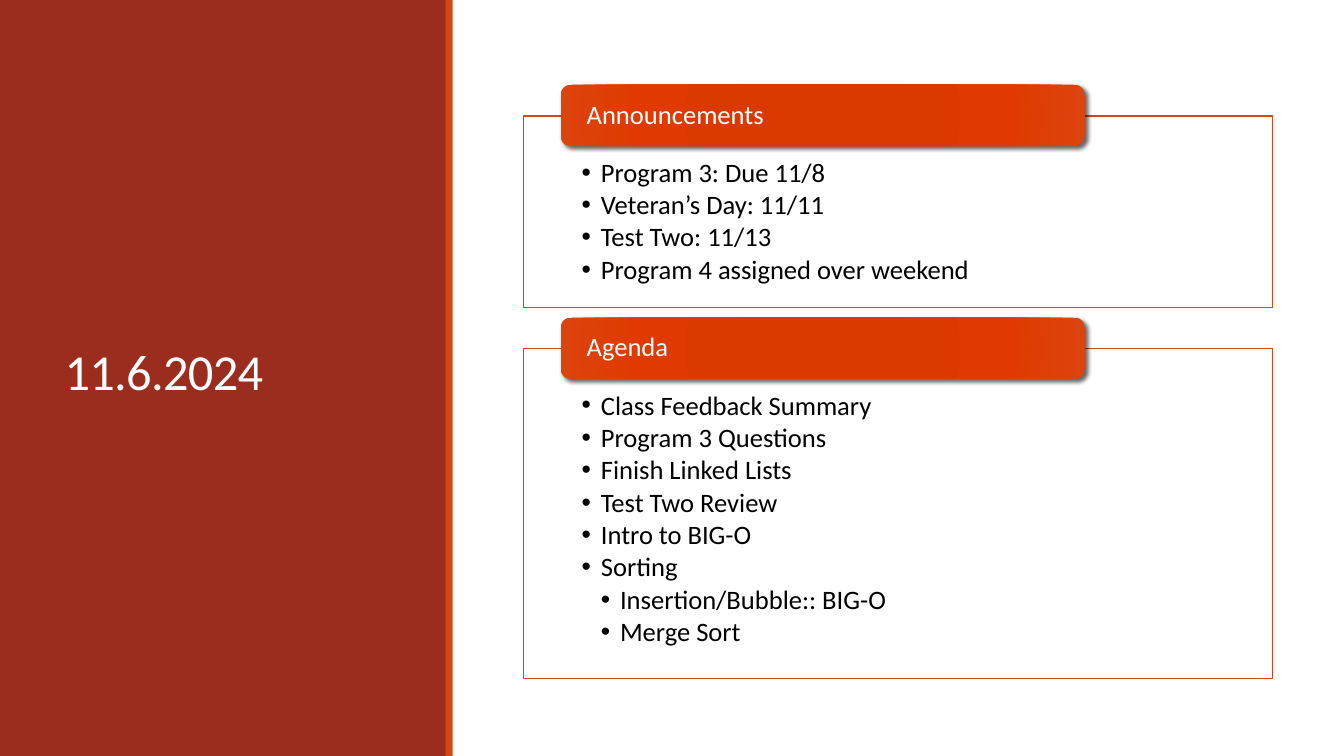
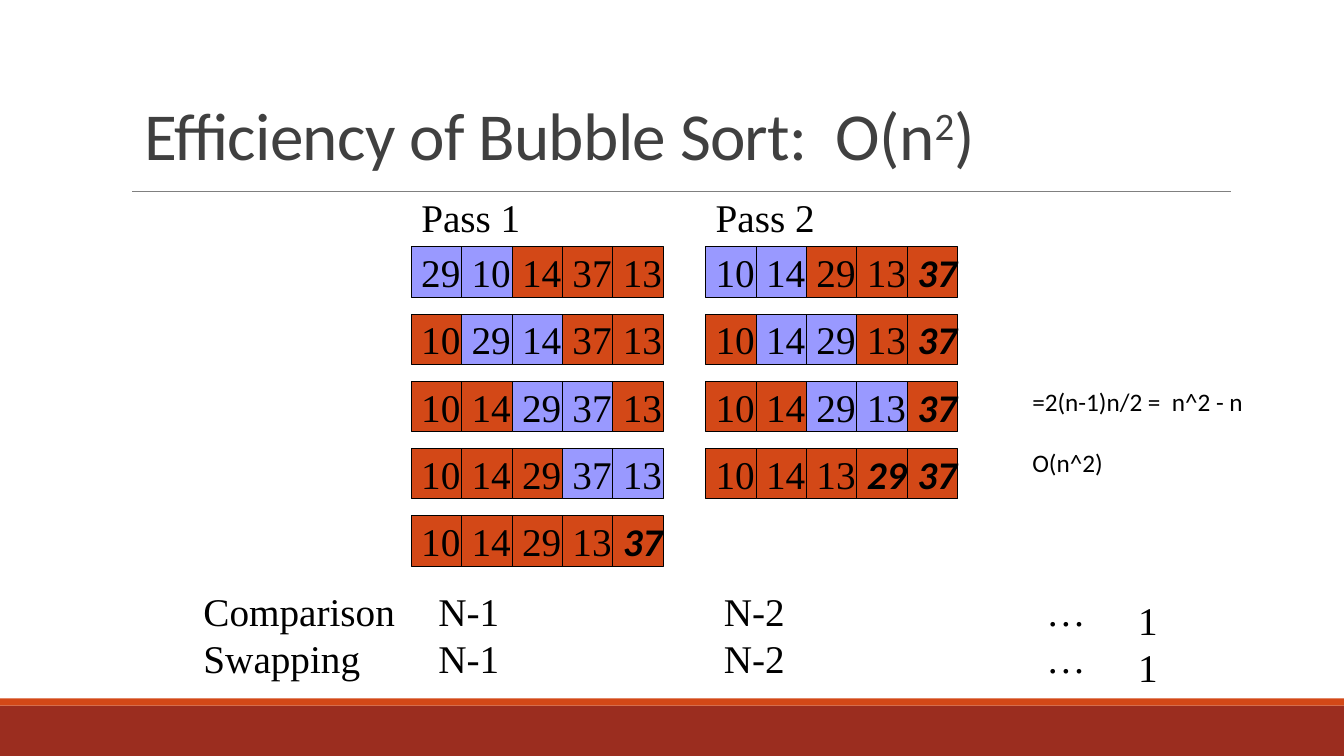
"""Build a class agenda slide and a bubble sort efficiency slide."""
from dataclasses import dataclass

from lxml import etree
from pptx import Presentation
from pptx.dml.color import RGBColor
from pptx.enum.shapes import MSO_CONNECTOR, MSO_SHAPE
from pptx.enum.text import MSO_ANCHOR, MSO_AUTO_SIZE, PP_ALIGN
from pptx.oxml import parse_xml
from pptx.oxml.ns import nsdecls, qn
from pptx.util import Inches, Pt

RECT, ROUND = MSO_SHAPE.RECTANGLE, MSO_SHAPE.ROUNDED_RECTANGLE
TOP, MIDDLE, BOTTOM = MSO_ANCHOR.TOP, MSO_ANCHOR.MIDDLE, MSO_ANCHOR.BOTTOM
LEFT = PP_ALIGN.LEFT
STRAIGHT = MSO_CONNECTOR.STRAIGHT
FIXED = MSO_AUTO_SIZE.NONE

DATE = "11.6.2024"
PANELS = [
    ("Announcements", 1.15, 1.9, [
        (0, "Program 3: Due 11/8"),
        (0, "Veteran’s Day: 11/11"),
        (0, "Test Two: 11/13"),
        (0, "Program 4 assigned over weekend"),
    ]),
    ("Agenda", 3.46, 3.27, [
        (0, "Class Feedback Summary"),
        (0, "Program 3 Questions"),
        (0, "Finish Linked Lists"),
        (0, "Test Two Review"),
        (0, "Intro to BIG-O"),
        (0, "Sorting"),
        (1, "Insertion/Bubble:: BIG-O"),
        (1, "Merge Sort"),
    ]),
]
HEADING = [("Efficiency of Bubble Sort:  O(n", False), ("2", True), (")", False)]
PASSES = [
    ("Pass 1", 4.08, [
        (29, 10, 14, 37, 13),
        (10, 29, 14, 37, 13),
        (10, 14, 29, 37, 13),
        (10, 14, 29, 37, 13),
        (10, 14, 29, 13, 37),
    ]),
    ("Pass 2", 7, [
        (10, 14, 29, 13, 37),
        (10, 14, 29, 13, 37),
        (10, 14, 29, 13, 37),
        (10, 14, 13, 29, 37),
    ]),
]
COUNTS = [
    (1.92, 5.78, 2.1, ["Comparison", "Swapping"]),
    (4.25, 5.78, 0.81, ["N-1", "N-1"]),
    (7.08, 5.78, 0.81, ["N-2", "N-2"]),
    (10.28, 5.78, 0.5, ["…", "…"]),
    (11.19, 5.87, 0.4, ["1", "1"]),
]
RESULT = ["=2(n-1)n/2 =  n^2 - n", "O(n^2)"]


@dataclass(frozen=True)
class Theme:
    """Colours, fonts and type sizes."""
    brick: str = "9B2D1F"
    orange: str = "D34817"
    lilac: str = "9999FF"
    white: str = "FFFFFF"
    black: str = "000000"
    dark: str = "404040"
    gray: str = "808080"
    glow: tuple = ((0, "DA3900"), (34, "DC3900"), (70, "E03A00"), (100, "DC440E"))
    sans: str = "Calibri"
    serif: str = "Times New Roman"
    date: int = 36
    head: int = 48
    list: int = 19
    sort: int = 28
    note: int = 18


T = Theme()


def place(shape, box):
    """Move and size a shape in inches."""
    shape.left, shape.top, shape.width, shape.height = map(Inches, box)


def style(para, size, color, face=T.sans, bold=None):
    """Set the font of a whole paragraph."""
    para.alignment = LEFT
    font = para.font
    font.name, font.size = face, Pt(size)
    font.color.rgb = RGBColor.from_string(color)
    if bold:
        font.bold = font.italic = True


def add_box(slide, box, fill, line=None, width=0.75, kind=RECT):
    """Add a filled shape without a shadow."""
    shape = slide.shapes.add_shape(kind, *map(Inches, box))
    shape.shadow.inherit = False
    shape.fill.solid()
    shape.fill.fore_color.rgb = RGBColor.from_string(fill)
    if line:
        shape.line.color.rgb = RGBColor.from_string(line)
        shape.line.width = Pt(width)
    else:
        shape.line.fill.background()
    return shape


def add_text(slide, box, lines, size, face, gap=0):
    """Add an unwrapped text box with one paragraph per line."""
    frame = slide.shapes.add_textbox(*map(Inches, box)).text_frame
    frame.word_wrap = False
    for i, line in enumerate(lines):
        para = frame.paragraphs[0] if i == 0 else frame.add_paragraph()
        para.text = line
        if i and gap:
            para.space_before = Pt(gap)
        style(para, size, T.black, face)


def add_bands(slide, band, stripe):
    """Add the brick band and its orange stripe."""
    add_box(slide, band, T.brick)
    add_box(slide, stripe, T.orange)


def set_title(slide, box, runs, size, color, anchor):
    """Move and format the title placeholder."""
    title = slide.shapes.title
    place(title, box)
    frame = title.text_frame
    frame.auto_size, frame.word_wrap = FIXED, True
    frame.vertical_anchor = anchor
    para = frame.paragraphs[0]
    para.line_spacing = 0.85
    style(para, size, color)
    for text, raised in runs:
        run = para.add_run()
        run.text = text
        props = run.font._element
        props.set("spc", "-50")
        if raised:
            props.set("baseline", "30000")


def set_insets(frame, left, top, bottom):
    """Set equal side insets and the top and bottom ones."""
    frame.margin_left = frame.margin_right = Inches(left)
    frame.margin_top, frame.margin_bottom = Inches(top), Inches(bottom)
    frame.word_wrap = True


def add_bullet(para, level):
    """Give a paragraph a hanging bullet."""
    para.level = level
    props = para._p.get_or_add_pPr()
    props.set("marL", str(Inches(0.19 * (level + 1))))
    props.set("indent", str(-Inches(0.19)))
    etree.SubElement(props, qn("a:buFont")).set("typeface", "Arial")
    etree.SubElement(props, qn("a:buChar")).set("char", "•")


def add_glow(shape):
    """Give a shape the round gradient and a soft shadow."""
    stops = "".join(
        f'<a:gs pos="{pos * 1000}"><a:srgbClr val="{color}"/></a:gs>'
        for pos, color in T.glow)
    grad = parse_xml(
        f'<a:gradFill {nsdecls("a")} rotWithShape="1"><a:gsLst>{stops}</a:gsLst>'
        '<a:path path="circle"><a:fillToRect l="100000" t="100000" '
        'r="100000" b="100000"/></a:path></a:gradFill>')
    shade = parse_xml(
        f'<a:outerShdw {nsdecls("a")} blurRad="{Pt(3)}" dist="{Pt(2)}" '
        f'dir="2700000" rotWithShape="0"><a:srgbClr val="{T.black}">'
        '<a:alpha val="60000"/></a:srgbClr></a:outerShdw>')
    props = shape._element.spPr
    props.replace(props.find(qn("a:solidFill")), grad)
    props.find(qn("a:effectLst")).append(shade)


def add_panel(slide, name, top, height, items):
    """Add a framed list with a heading tab over its top edge."""
    panel = add_box(slide, (5.19, top, 7.43, height), T.white, T.orange, 1)
    frame = panel.text_frame
    set_insets(frame, 0.58, 0.43, 0.15)
    frame.vertical_anchor = TOP
    for i, (level, text) in enumerate(items):
        para = frame.paragraphs[0] if i == 0 else frame.add_paragraph()
        para.text = text
        para.line_spacing, para.space_after = 0.9, Pt(2.6)
        add_bullet(para, level)
        style(para, T.list, T.black)
    tab = add_box(slide, (5.56, top - 0.31, 5.2, 0.61), T.orange, kind=ROUND)
    add_glow(tab)
    set_insets(tab.text_frame, 0.23, 0, 0)
    tab.text_frame.vertical_anchor = MIDDLE
    para = tab.text_frame.paragraphs[0]
    para.text = name
    para.line_spacing = 0.9
    style(para, T.list, T.white)


def add_pass(slide, done, name, left, rows):
    """Add one pass: compared pairs are lilac, sorted values bold."""
    add_text(slide, (left, 1.87, 1.18, 0.57), [name], T.sort, T.serif)
    side, last = 0.5, len(rows) - 1
    for i, row in enumerate(rows):
        pair = (i, i + 1) if i < last else ()
        fixed = len(row) - done - (i == last)
        for j, value in enumerate(row):
            box = (left + side * j, 2.45 + i * 2 / 3, side, side)
            cell = add_box(slide, box, T.lilac if j in pair else T.orange, T.black)
            frame = cell.text_frame
            frame.word_wrap, frame.vertical_anchor = False, MIDDLE
            para = frame.paragraphs[0]
            para.text = str(value)
            bold = j >= fixed
            style(para, T.sort, T.black, T.sans if bold else T.serif, bold)


def add_rule(slide):
    """Add the thin line under the title."""
    rule = slide.shapes.add_connector(
        STRAIGHT, Inches(1.31), Inches(1.9), Inches(12.21), Inches(1.9))
    rule.line.color.rgb = RGBColor.from_string(T.gray)
    rule.line.width = Pt(0.5)
    etree.SubElement(rule._element.spPr, qn("a:effectLst"))


def build_agenda(slide):
    """Build the dated agenda slide."""
    add_bands(slide, (0, 0, 4.43, 7.5), (4.42, 0, 0.07, 7.5))
    title = slide.shapes.title._element
    title.getparent().append(title)
    set_title(slide, (0.54, 0.57, 3.37, 6.31), [(DATE, False)],
              T.date, T.white, MIDDLE)
    for panel in PANELS:
        add_panel(slide, *panel)


def build_sort(slide):
    """Build the bubble sort slide."""
    add_bands(slide, (0, 7, 13.33, 0.5), (0, 6.93, 13.33, 0.07))
    add_rule(slide)
    set_title(slide, (1.33, 0.53, 8.5, 1.25), HEADING, T.head, T.dark, BOTTOM)
    for done, item in enumerate(PASSES):
        add_pass(slide, done, *item)
    for left, top, width, lines in COUNTS:
        add_text(slide, (left, top, width, 1.03), lines, T.sort, T.serif)
    add_text(slide, (10.14, 3.78, 2.32, 1.01), RESULT, T.note, T.sans, gap=22)


def main():
    """Build and save the deck."""
    deck = Presentation()
    deck.slide_width, deck.slide_height = Inches(13.33), Inches(7.5)
    for build in (build_agenda, build_sort):
        build(deck.slides.add_slide(deck.slide_layouts[5]))
    deck.save("out.pptx")


if __name__ == "__main__":
    main()
